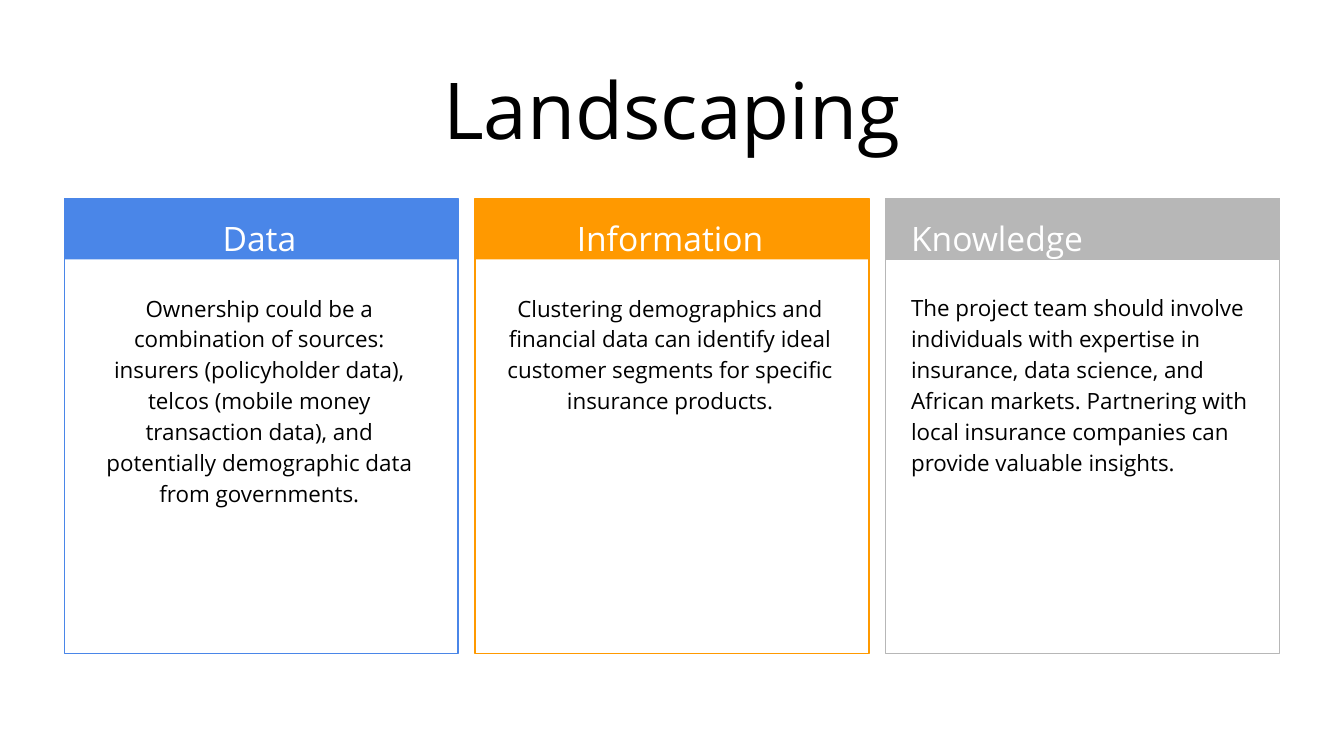
from lxml import etree
from pptx import Presentation
from pptx.dml.color import RGBColor
from pptx.enum import shapes, text
from pptx.oxml import ns
from pptx.util import Pt

BLUE = RGBColor(0x4A, 0x86, 0xE8)
ORANGE = RGBColor(0xFF, 0x99, 0x00)
GRAY = RGBColor(0xB7, 0xB7, 0xB7)
BLACK = RGBColor(0, 0, 0)
WHITE = RGBColor(255, 255, 255)
CENTER, LEFT = text.PP_ALIGN.CENTER, text.PP_ALIGN.LEFT

COLUMN_LEFT, COLUMN_TOP, COLUMN_STEP = 34.5, 106.5, 220
COLUMN_WIDTH, COLUMN_HEIGHT, HEADER_HEIGHT = 211, 243.5, 32.5
TEXT_OFFSET, TEXT_WIDTH = 6.5, 196
BODY_TOP, BODY_HEIGHT = 148.5, 201.5

COLUMNS = [
    ("Data", "Ownership could be a combination of sources: insurers (policyholder data), "
     "telcos (mobile money transaction data), and potentially demographic data from governments.",
     BLUE, CENTER, False),
    ("Information", "Clustering demographics and financial data can identify ideal customer "
     "segments for specific insurance products.", ORANGE, CENTER, False),
    ("Knowledge", "The project team should involve individuals with expertise in insurance, "
     "data science, and African markets. Partnering with local insurance companies can provide "
     "valuable insights.", GRAY, LEFT, True),
]


class SlideBuilder:
    font = "Open Sans"
    line_width = 0.75
    inset = 7.2

    def __init__(self, slide):
        self.slide = slide
        self.body_placeholders = [
            placeholder for placeholder in slide.placeholders
            if 1 <= placeholder.placeholder_format.idx <= 4]

    def set_text(self, shape, box, words, size, color, align=CENTER,
                 anchor=text.MSO_ANCHOR.TOP, spacing=1.15, after=0):
        shape.left, shape.top, shape.width, shape.height = map(Pt, box)
        frame = shape.text_frame
        frame.text = words
        frame.word_wrap = True
        frame.auto_size = text.MSO_AUTO_SIZE.NONE
        frame.vertical_anchor = anchor
        frame.margin_left = frame.margin_right = Pt(self.inset)
        frame.margin_top = frame.margin_bottom = Pt(self.inset)
        paragraph = frame.paragraphs[0]
        paragraph.alignment = align
        paragraph.line_spacing = spacing
        paragraph.space_before = Pt(0)
        paragraph.space_after = Pt(after)
        properties = paragraph._p.get_or_add_pPr()
        properties.set("marL", "0")
        properties.set("indent", "0")
        etree.SubElement(properties, ns.qn("a:buNone"))
        font = paragraph.font
        font.name, font.size, font.bold = self.font, Pt(size), False
        font.color.rgb = color

    def title(self, words):
        self.set_text(self.slide.shapes.title, (24.5, 25, 671, 65.5), words, 42, BLACK,
                      anchor=text.MSO_ANCHOR.BOTTOM, spacing=1.0)

    def body(self, box, words, size, color, align, after=0):
        if self.body_placeholders:
            shape = self.body_placeholders.pop(0)
            shape.element.getparent().append(shape.element)
        else:
            shape = self.slide.shapes.add_textbox(*map(Pt, box))
        self.set_text(shape, box, words, size, color, align, after=after)

    def rectangle(self, group, box, fill=None, line=None):
        shape = group.shapes.add_shape(shapes.MSO_SHAPE.RECTANGLE, *map(Pt, box))
        shape.shadow.inherit = False
        if fill is None:
            shape.fill.background()
        else:
            shape.fill.solid()
            shape.fill.fore_color.rgb = fill
        if line is None:
            shape.line.fill.background()
        else:
            shape.line.color.rgb = line
            shape.line.width = Pt(self.line_width)

    def column(self, left, heading, words, color, align, header_outlined):
        group = self.slide.shapes.add_group_shape()
        self.rectangle(group, (left, COLUMN_TOP, COLUMN_WIDTH, COLUMN_HEIGHT), line=color)
        self.rectangle(group, (left, COLUMN_TOP, COLUMN_WIDTH, HEADER_HEIGHT), fill=color,
                       line=color if header_outlined else None)
        text_left = left + TEXT_OFFSET
        self.body((text_left, COLUMN_TOP, TEXT_WIDTH, HEADER_HEIGHT), heading, 18, WHITE, align)
        self.body((text_left, BODY_TOP, TEXT_WIDTH, BODY_HEIGHT), words, 12, BLACK, align, after=8)


def main():
    presentation = Presentation()
    presentation.slide_width, presentation.slide_height = Pt(720), Pt(405)
    comparison_layout = presentation.slide_layouts.get_by_name("Comparison")
    builder = SlideBuilder(presentation.slides.add_slide(comparison_layout))
    builder.title("Landscaping")
    for index, column in enumerate(COLUMNS):
        builder.column(COLUMN_LEFT + index * COLUMN_STEP, *column)
    presentation.save("out.pptx")


if __name__ == "__main__":
    main()
